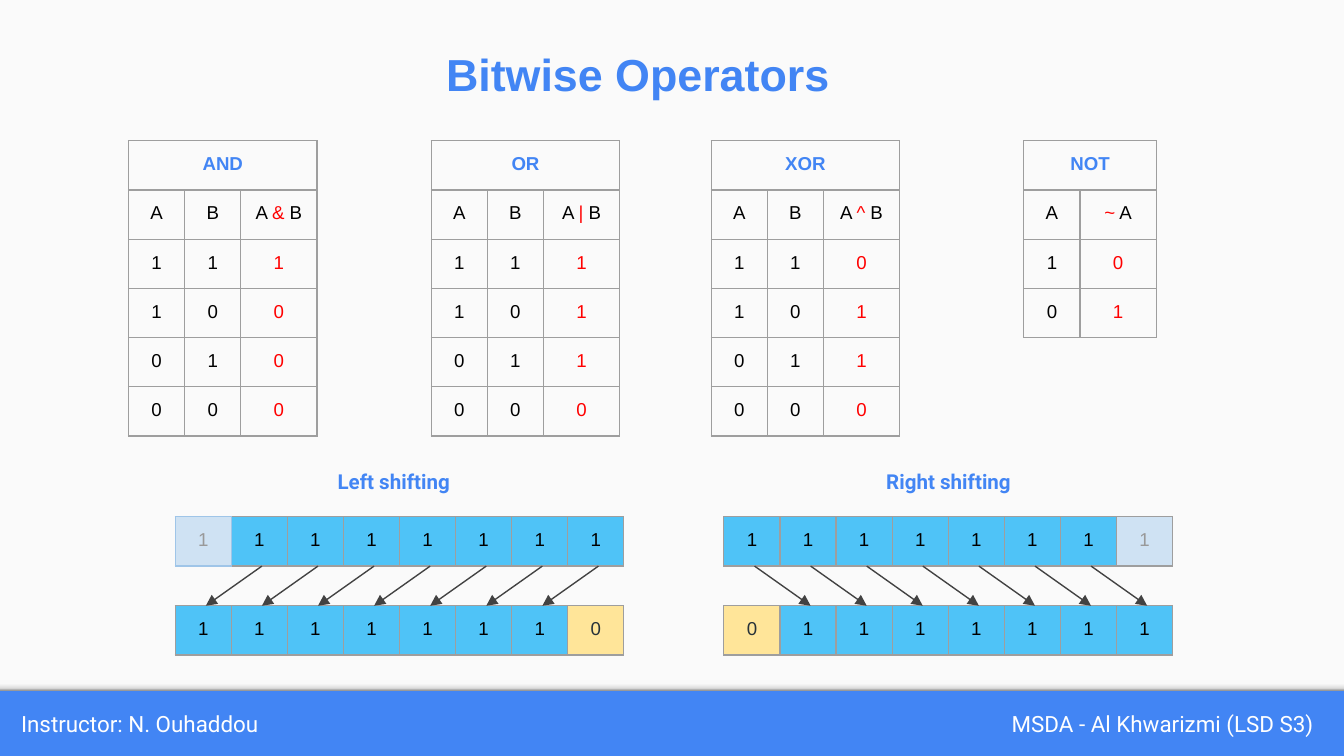
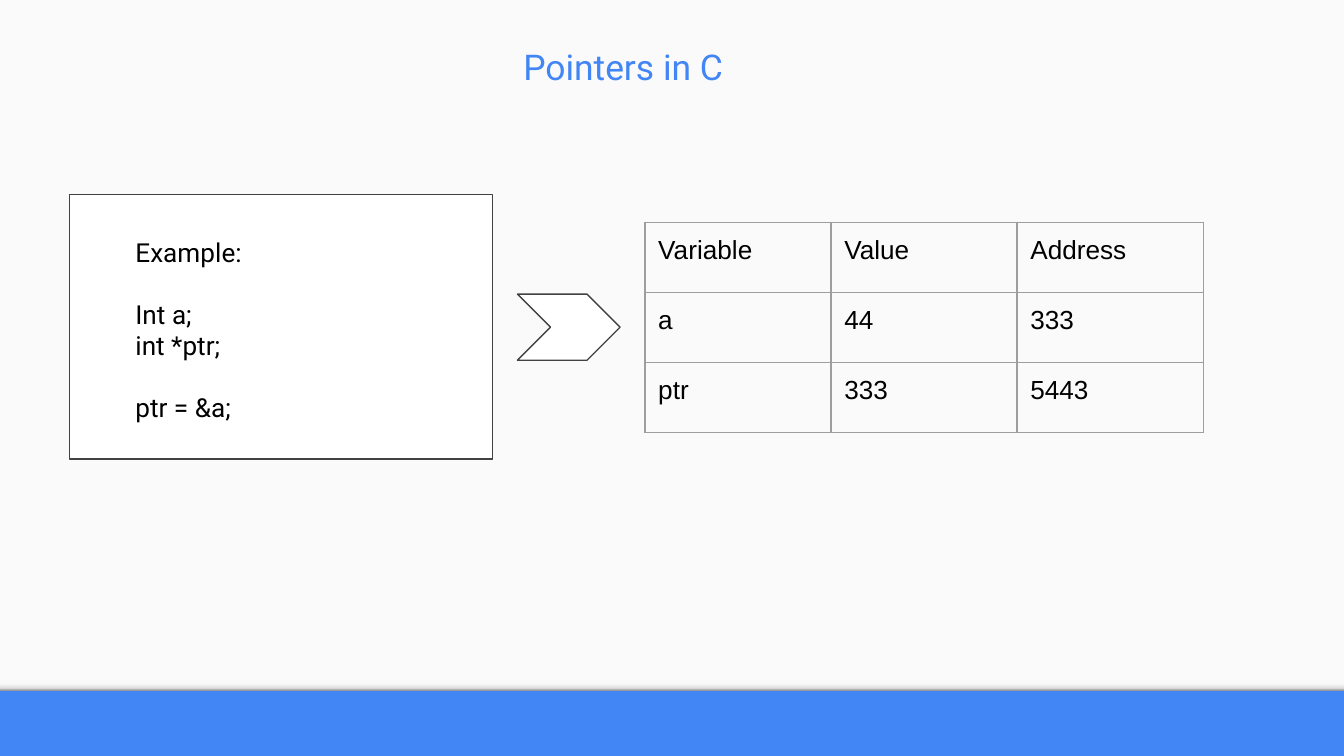
import dataclasses
import itertools

import pptx
import pptx.dml.color
import pptx.enum.shapes
import pptx.enum.text
import pptx.oxml.ns
import pptx.util
from lxml import etree

Cm = pptx.util.Cm
ALIGN = pptx.enum.text.PP_ALIGN
ANCHOR = pptx.enum.text.MSO_ANCHOR
SHAPE = pptx.enum.shapes.MSO_SHAPE


@dataclasses.dataclass(frozen=True)
class Theme:
    blue: str = "4285F4"
    paper: str = "FAFAFA"
    white: str = "FFFFFF"
    black: str = "000000"
    red: str = "FF0000"
    outline: str = "424242"
    grid: str = "9E9E9E"
    bit: str = "4FC3F7"
    lost_bit: str = "CFE2F3"
    lost_text: str = "999999"
    lost_edge: str = "9FC5E8"
    new_bit: str = "FFE599"
    new_text: str = "273239"
    shade: tuple = ((0, "F9F9F9"), (36, "F9F9F9"), (80, "DEDEDE"), (100, "999999"))
    sans: str = "Arial"
    display: str = "Roboto"
    headline: float = 24
    title: float = 19
    body: float = 14
    footer: float = 12
    label: float = 11
    small: float = 10
    line: float = 0.75
    margin: float = 0.25


@dataclasses.dataclass(frozen=True)
class Box:
    """A rectangle in centimetres."""
    left: float
    top: float
    width: float
    height: float

    def inside(self, left, top, width, height):
        return Box(self.left + left, self.top + top, width, height)

    def lengths(self):
        return [Cm(value) for value in (self.left, self.top, self.width, self.height)]


THEME = Theme()
PAGE = Box(0, 0, 25.4, 14.29)
FOOTER = Box(0, 13.05, PAGE.width, 1.24)
SHADE_HEIGHT = 0.2
BIT_WIDTH, BIT_HEIGHT, RESULT_WIDTH = 1.06, 0.93, 1.44
BIT_COUNT = 8


def rgb(value):
    return pptx.dml.color.RGBColor.from_string(value)


def add_xml(parent, tag, **attributes):
    return etree.SubElement(parent, pptx.oxml.ns.qn(tag), attributes)


def set_margins(target):
    for side in ("left", "right", "top", "bottom"):
        setattr(target, f"margin_{side}", Cm(THEME.margin))


def format_span(span, size, color, font=THEME.sans, bold=False):
    span.font.size = pptx.util.Pt(size)
    span.font.color.rgb = rgb(color)
    span.font.name = font
    span.font.bold = bold


def add_text(page, box, text, size, color, font=THEME.display, bold=False, anchor=ANCHOR.TOP):
    frame = page.shapes.add_textbox(*box.lengths()).text_frame
    frame.word_wrap = True
    frame.vertical_anchor = anchor
    set_margins(frame)
    frame.text = text
    for para in frame.paragraphs:
        for span in para.runs:
            format_span(span, size, color, font, bold)
    return frame


def add_shape(page, kind, box, fill, outline=None):
    shape = page.shapes.add_shape(kind, *box.lengths())
    shape.shadow.inherit = False
    shape.fill.solid()
    shape.fill.fore_color.rgb = rgb(fill)
    if outline:
        shape.line.color.rgb = rgb(outline)
        shape.line.width = pptx.util.Pt(THEME.line)
    else:
        shape.line.fill.background()
    return shape


def add_arrow(page, start, end):
    arrow = page.shapes.add_connector(
        pptx.enum.shapes.MSO_CONNECTOR.STRAIGHT, *[Cm(value) for value in (*start, *end)])
    arrow.line.color.rgb = rgb(THEME.outline)
    arrow.line.width = pptx.util.Pt(THEME.line)
    add_xml(arrow.line._get_or_add_ln(), "a:tailEnd", type="triangle")
    add_xml(arrow._element.spPr, "a:effectLst")


def add_grid(page, left, top, widths, row_count, row_height):
    box = Box(left, top, sum(widths), row_count * row_height)
    table = page.shapes.add_table(row_count, len(widths), *box.lengths()).table
    table.first_row = table.horz_banding = False
    for column, width in zip(table.columns, widths):
        column.width = Cm(width)
    for row in table.rows:
        row.height = Cm(row_height)
    return table


def style_cell(cell, fill=None, edges=None):
    """Set margins, borders and fill; edges maps a side (L, R, T, B) to its own colour."""
    set_margins(cell)
    properties = cell._tc.get_or_add_tcPr()
    for side in "LRTB":
        line = add_xml(properties, f"a:ln{side}", w=str(pptx.util.Pt(THEME.line)))
        paint = add_xml(line, "a:solidFill")
        add_xml(paint, "a:srgbClr", val=(edges or {}).get(side, THEME.grid))
    if fill:
        cell.fill.solid()
        cell.fill.fore_color.rgb = rgb(fill)
    else:
        cell.fill.background()


def write_cell(cell, pieces, size=THEME.small, bold=False, align=ALIGN.CENTER):
    """Write (text, colour) pieces into one paragraph."""
    para = cell.text_frame.paragraphs[0]
    para.alignment = align
    for text, color in pieces:
        if text:
            span = para.add_run()
            span.text = text
            format_span(span, size, color, bold=bold)


def add_page(deck):
    page = deck.slides.add_slide(deck.slide_layouts[6])
    add_shape(page, SHAPE.RECTANGLE, Box(0, 0, PAGE.width, FOOTER.top), THEME.paper)
    strip = Box(0, FOOTER.top - SHADE_HEIGHT, PAGE.width, SHADE_HEIGHT)
    shade = add_shape(page, SHAPE.RECTANGLE, strip, THEME.paper)
    shade.fill.gradient()
    shade.fill.gradient_angle = 270
    stops = shade._element.spPr.find(pptx.oxml.ns.qn("a:gradFill")).find(pptx.oxml.ns.qn("a:gsLst"))
    for stop in list(stops):
        stops.remove(stop)
    for percent, color in THEME.shade:
        add_xml(add_xml(stops, "a:gs", pos=str(percent * 1000)), "a:srgbClr", val=color)
    return page


def add_footer(page, box, instructor, course):
    for text, left, width in ((instructor, 0.15, 11.6), (course, 18.87, 6.46)):
        add_text(page, box.inside(left, 0, width, box.height), text,
                 THEME.footer, THEME.white, anchor=ANCHOR.MIDDLE)


def add_truth_table(page, left, top, name, symbol, expression, operation, inputs):
    cases = list(itertools.product((1, 0), repeat=len(inputs)))
    widths = [BIT_WIDTH] * len(inputs) + [RESULT_WIDTH]
    table = add_grid(page, left, top, widths, len(cases) + 2, BIT_HEIGHT)
    for cell in table.iter_cells():
        style_cell(cell)
    table.cell(0, 0).merge(table.cell(0, len(inputs)))
    write_cell(table.cell(0, 0), [(name, THEME.blue)], bold=True)
    before, operator, after = expression.partition(symbol)
    heading = [(before, THEME.black), (operator, THEME.red), (after, THEME.black)]
    for row, values in enumerate([tuple(inputs), *cases], 1):
        for column, value in enumerate(values):
            write_cell(table.cell(row, column), [(str(value), THEME.black)])
        result = heading if row == 1 else [(str(operation(*values)), THEME.red)]
        write_cell(table.cell(row, len(inputs)), result)


def add_bit_row(page, left, top, special, digit, fill, color, edge=THEME.grid):
    """Draw a row of ones in which the cell at index special differs."""
    table = add_grid(page, left, top, [BIT_WIDTH] * BIT_COUNT, 1, BIT_HEIGHT)
    for index, cell in enumerate(table.iter_cells()):
        if index == special:
            style_cell(cell, fill, dict.fromkeys("LRTB", edge))
            write_cell(cell, [(digit, color)])
        else:
            style_cell(cell, THEME.bit, {"L": edge} if index == special + 1 else None)
            write_cell(cell, [("1", THEME.black)])


def add_shift(page, box, label, step, lost_edge):
    """Draw a shift by one place; step is -1 to the left and 1 to the right."""
    upper, lower = box.top + 1.14, box.top + 2.82
    lost, new = (0, BIT_COUNT - 1) if step < 0 else (BIT_COUNT - 1, 0)
    add_bit_row(page, box.left, upper, lost, "1", THEME.lost_bit, THEME.lost_text, lost_edge)
    add_bit_row(page, box.left, lower, new, "0", THEME.new_bit, THEME.new_text)
    add_text(page, box.inside(2.82, 0, 3.94, 0.99), label, THEME.label, THEME.blue, bold=True)
    for index in range(BIT_COUNT):
        if index != lost:
            center = box.left + (index + 0.5) * BIT_WIDTH + 0.05
            add_arrow(page, (center, upper + BIT_HEIGHT), (center + step * BIT_WIDTH, lower))


def add_code_panel(page, box, blocks):
    """Show blocks of code lines, one empty line's height apart."""
    add_shape(page, SHAPE.RECTANGLE, box, THEME.white, THEME.outline)
    lines = [line for block in blocks for line in block]
    frame = add_text(page, box.inside(1, 0.53, 6.48, 4.11), "\n".join(lines),
                     THEME.body, THEME.black)
    starts = itertools.accumulate(len(block) for block in blocks[:-1])
    for start in starts:
        frame.paragraphs[start].space_before = pptx.util.Pt(16.5)


def add_memory_table(page, box, rows):
    table = add_grid(page, box.left, box.top, [box.width / len(rows[0])] * len(rows[0]),
                     len(rows), box.height / len(rows))
    for cell, text in zip(table.iter_cells(), itertools.chain.from_iterable(rows)):
        style_cell(cell)
        write_cell(cell, [(text, THEME.black)], THEME.body, align=ALIGN.LEFT)


def build_bitwise_page(deck):
    page = add_page(deck)
    add_footer(page, FOOTER, "Instructor: N. Ouhaddou", "MSDA - Al Khwarizmi (LSD S3)")
    title = add_text(page, Box(8.18, 0.48, 8.84, 1.55), "Bitwise Operators",
                     THEME.headline, THEME.blue, THEME.sans, bold=True)
    title.paragraphs[0].line_spacing = 1.15
    operators = (
        (2.43, "AND", "&", "A & B", lambda a, b: a & b, "AB"),
        (8.15, "OR", "|", "A | B", lambda a, b: a | b, "AB"),
        (13.44, "XOR", "^", "A ^ B", lambda a, b: a ^ b, "AB"),
        (19.35, "NOT", "~", "~ A", lambda a: 1 - a, "A"),
    )
    for left, *operator in operators:
        add_truth_table(page, left, 2.66, *operator)
    width = BIT_COUNT * BIT_WIDTH
    add_shift(page, Box(3.31, 8.63, width, 3.75), "Left shifting", -1, THEME.lost_edge)
    add_shift(page, Box(13.68, 8.63, width, 3.75), "Right shifting", 1, THEME.grid)


def build_pointers_page(deck):
    page = add_page(deck)
    add_text(page, Box(9.64, 0.61, 4.5, 1.32), "Pointers in C", THEME.title, THEME.blue)
    add_memory_table(page, Box(12.19, 4.2, 10.55, 3.97), (
        ("Variable", "Value", "Address"),
        ("a", "44", "333"),
        ("ptr", "333", "5443"),
    ))
    add_code_panel(page, Box(1.31, 3.68, 8, 5),
                   (["Example:"], ["Int a;", "int *ptr;"], ["ptr = &a;"]))
    add_shape(page, SHAPE.CHEVRON, Box(9.78, 5.56, 1.94, 1.25), THEME.white, THEME.outline)


def main():
    deck = pptx.Presentation()
    deck.slide_width, deck.slide_height = Cm(PAGE.width), Cm(PAGE.height)
    background = deck.slide_master.background.fill
    background.solid()
    background.fore_color.rgb = rgb(THEME.blue)
    build_bitwise_page(deck)
    build_pointers_page(deck)
    deck.save("out.pptx")


if __name__ == "__main__":
    main()
